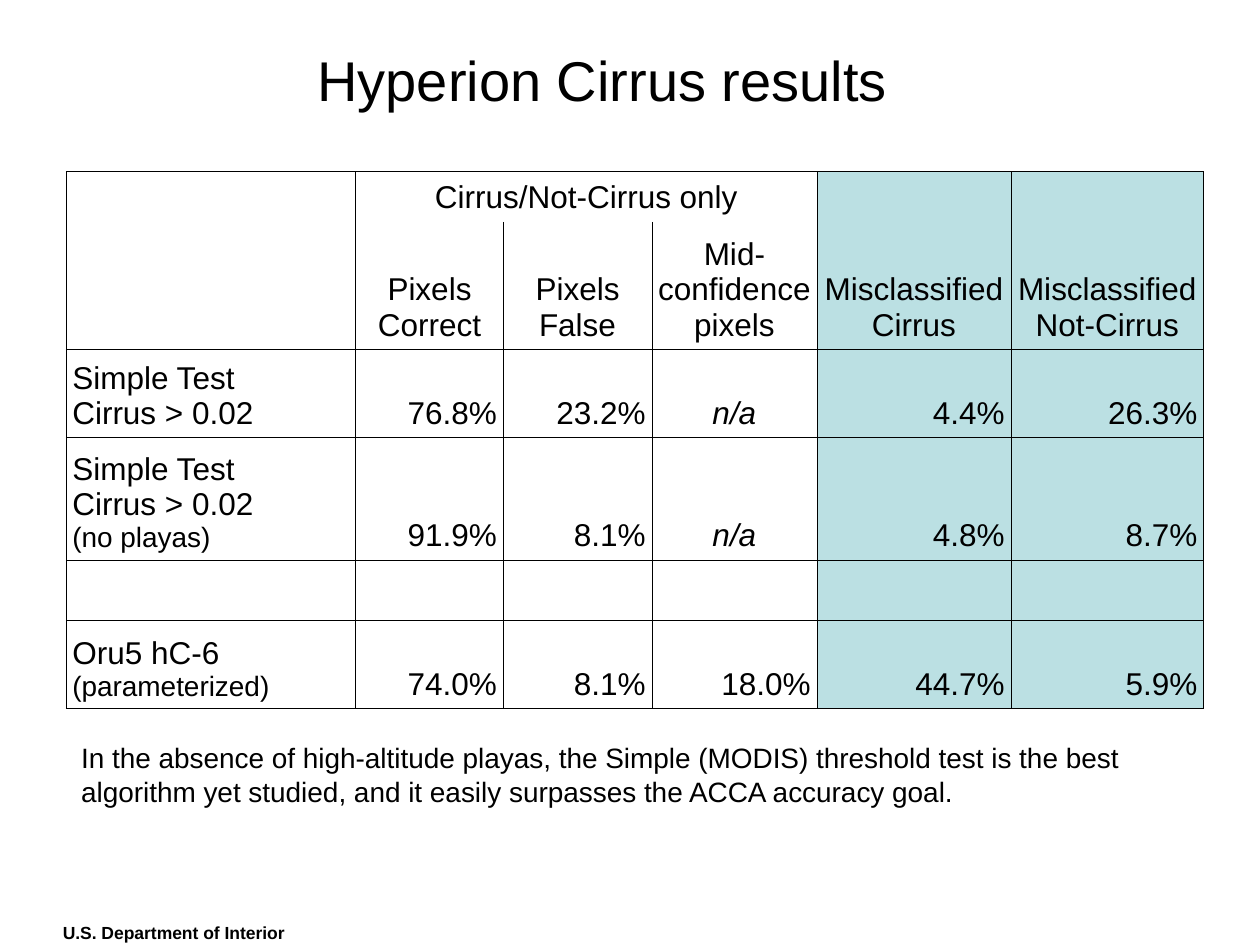
from lxml.etree import SubElement
from pptx import Presentation
from pptx.dml.color import RGBColor
from pptx.enum.text import MSO_ANCHOR, PP_ALIGN
from pptx.oxml.ns import qn
from pptx.util import Inches, Pt

COLORS = {"ink": "000000", "highlight": "BBE0E3"}
FONT = "Arial"
SLIDE_WIDTH, SLIDE_HEIGHT = Inches(10), Inches(7.5)
COLUMN_WEIGHTS = [2.3, 1.17, 1.18, 1.31, 1.54, 1.53]
ROW_WEIGHTS = [0.4, 1.01, 0.7, 0.97, 0.48, 0.7]
HIGHLIGHT_FROM = 4
HEADER_ROWS = 2
GROUP_FIRST, GROUP_LAST = 1, 3
HAIRLINE, RULE = 0.11, 0.45
RESULTS = [
    ["", "Cirrus/Not-Cirrus only", "", "", "", ""],
    ["", "Pixels Correct", "Pixels False", "Mid-confidence pixels",
     "Misclassified Cirrus", "Misclassified Not-Cirrus"],
    ["Simple Test\nCirrus > 0.02", "76.8%", "23.2%", "n/a", "4.4%", "26.3%"],
    ["Simple Test\nCirrus > 0.02\n(no playas)", "91.9%", "8.1%", "n/a", "4.8%", "8.7%"],
    ["", "", "", "", "", ""],
    ["Oru5 hC-6\n(parameterized)", "74.0%", "8.1%", "18.0%", "44.7%", "5.9%"],
]


def slide_box(left, top, width, height):
    """Turn percentages of the slide's size into lengths."""
    shares = zip((left, top, width, height), (SLIDE_WIDTH, SLIDE_HEIGHT) * 2)
    return [round(share * full / 100) for share, full in shares]


def split(length, weights):
    """Divide a length in proportion to the weights."""
    return [round(length * weight / sum(weights)) for weight in weights]


def style_para(para, size, align=PP_ALIGN.LEFT, bold=False, italic=False):
    """Set the alignment and font of a paragraph and its runs."""
    para.alignment = align
    for span in para.runs:
        font = span.font
        font.name, font.size, font.bold, font.italic = FONT, Pt(size), bold, italic
        font.color.rgb = RGBColor.from_string(COLORS["ink"])


def add_text(page, box, text, size, anchor=MSO_ANCHOR.TOP, bold=False, space_before=0):
    """Place one left-aligned paragraph in the given box."""
    frame = page.shapes.add_textbox(*box).text_frame
    frame.word_wrap = True
    frame.vertical_anchor = anchor
    frame.text = text
    para = frame.paragraphs[0]
    para.space_before = Pt(space_before)
    style_para(para, size, bold=bold)


def border_widths(row, column):
    """Return the line width of each cell side, with None for an open side."""
    in_group = row == 0 and GROUP_FIRST <= column <= GROUP_LAST
    last_row = len(RESULTS) - 1
    return {
        "lnL": None if in_group and column > GROUP_FIRST else RULE if column else HAIRLINE,
        "lnR": None if in_group and column < GROUP_LAST else RULE,
        "lnT": None if row == 1 else RULE if row == HEADER_ROWS else HAIRLINE,
        "lnB": None if row == 0 else RULE if row in (1, last_row) else HAIRLINE,
    }


def draw_borders(cell, widths):
    """Draw the four sides of a cell."""
    properties = cell._tc.get_or_add_tcPr()
    for side, width in widths.items():
        line = SubElement(properties, qn(f"a:{side}"))
        if width is None:
            SubElement(line, qn("a:noFill"))
            continue
        line.set("w", str(Pt(width)))
        fill = SubElement(line, qn("a:solidFill"))
        SubElement(fill, qn("a:srgbClr"), val=COLORS["ink"])


def cell_alignment(row, column, text):
    """Center headings and missing values, and right-align figures."""
    if column == 0:
        return PP_ALIGN.LEFT
    return PP_ALIGN.CENTER if row < HEADER_ROWS or text == "n/a" else PP_ALIGN.RIGHT


def fill_cell(cell, row, column, text):
    """Write and format one cell of the results."""
    cell.text = text
    cell.vertical_anchor = MSO_ANCHOR.BOTTOM
    cell.margin_left = cell.margin_right = Inches(0.05)
    cell.margin_top = cell.margin_bottom = Inches(0.05)
    draw_borders(cell, border_widths(row, column))
    if column >= HIGHLIGHT_FROM:
        cell.fill.solid()
        cell.fill.fore_color.rgb = RGBColor.from_string(COLORS["highlight"])
    else:
        cell.fill.background()
    for para in cell.text_frame.paragraphs:
        size = 16 if para.text.startswith("(") else 18
        style_para(para, size, cell_alignment(row, column, text), italic=text == "n/a")


def add_results(page, box):
    """Place the results table in the given box."""
    table = page.shapes.add_table(len(ROW_WEIGHTS), len(COLUMN_WEIGHTS), *box).table
    table.first_row = table.horz_banding = False
    for column, width in zip(table.columns, split(box[2], COLUMN_WEIGHTS)):
        column.width = width
    for row, height in zip(table.rows, split(box[3], ROW_WEIGHTS)):
        row.height = height
    for row, texts in enumerate(RESULTS):
        for column, text in enumerate(texts):
            fill_cell(table.cell(row, column), row, column, text)
    table.cell(0, GROUP_FIRST).merge(table.cell(0, GROUP_LAST))


def build_page(page):
    """Place the footer, title, table and conclusion."""
    add_text(page, slide_box(4, 96.93, 20.1, 3.6), "U.S. Department of Interior", 10,
             bold=True, space_before=6.2)
    add_text(page, slide_box(24.2, 3.6, 75.8, 9.47), "Hyperion Cirrus results", 32,
             MSO_ANCHOR.MIDDLE)
    add_results(page, slide_box(5.24, 18.13, 90.3, 56.85))
    add_text(page, slide_box(5.45, 77.75, 89.5, 10.4),
             "In the absence of high-altitude playas, the Simple (MODIS) threshold test is the "
             "best algorithm yet studied, and it easily surpasses the ACCA accuracy goal.", 16)


def main():
    """Build the deck and save it."""
    deck = Presentation()
    deck.slide_width, deck.slide_height = SLIDE_WIDTH, SLIDE_HEIGHT
    build_page(deck.slides.add_slide(deck.slide_layouts[6]))
    deck.save("out.pptx")


if __name__ == "__main__":
    main()
